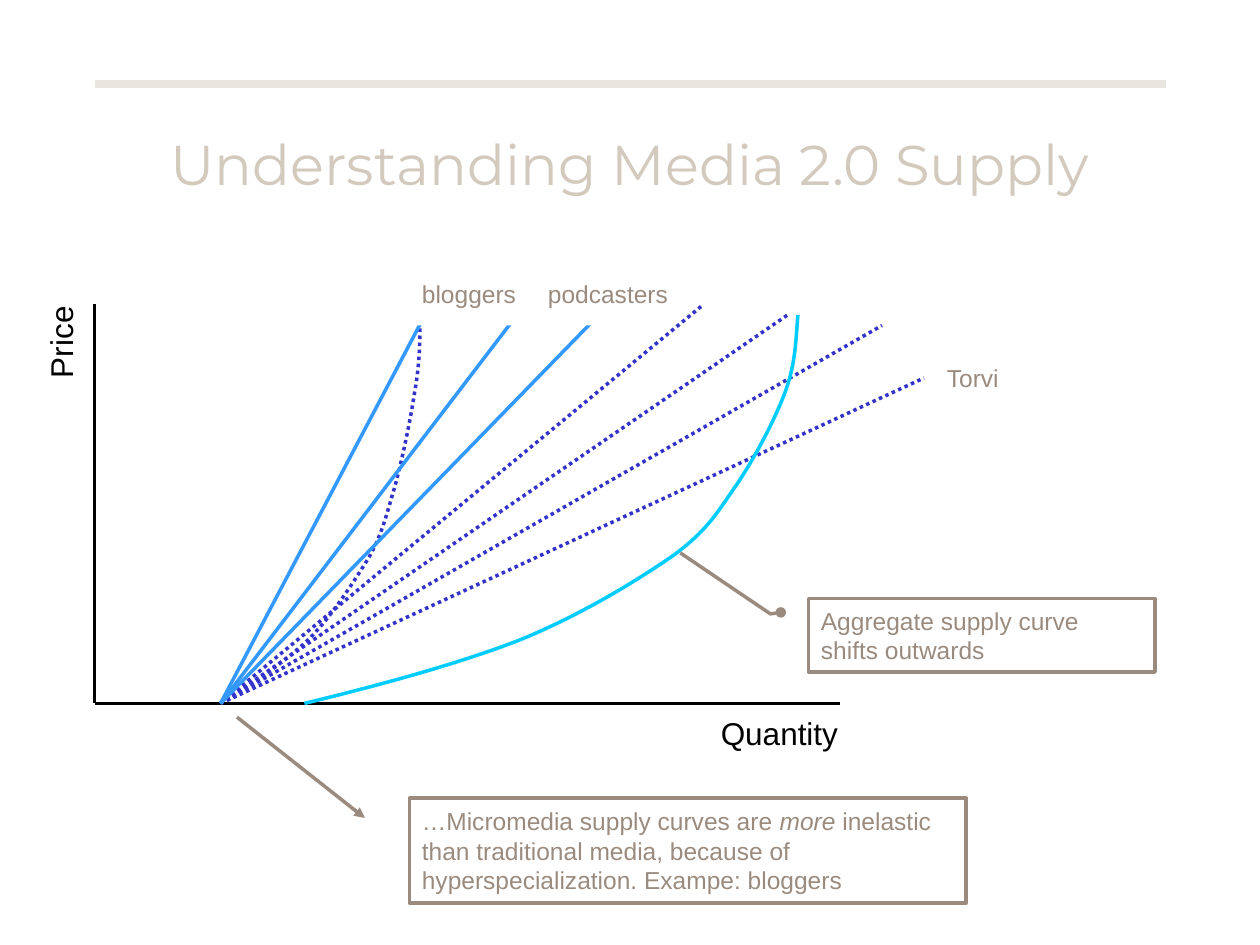
from dataclasses import dataclass

import pptx
import pptx.dml.color
import pptx.enum.dml
import pptx.enum.shapes
import pptx.enum.text
import pptx.oxml
import pptx.oxml.ns
import pptx.util

PX = 7620
Shape = pptx.enum.shapes.MSO_SHAPE
Align = pptx.enum.text.PP_ALIGN
Point = tuple[int, int]
Box = tuple[int, int, int, int]


@dataclass(frozen=True)
class Theme:
    rule: str = "E9E5DF"
    title: str = "D3C9BD"
    axis: str = "000000"
    note: str = "9A8B7E"
    future: str = "3333CC"
    micro: str = "3399FF"
    aggregate: str = "00CCFF"
    paper: str = "FFFFFF"
    title_font: str = "Montserrat"
    font: str = "Arial"
    title_size: int = 32
    axis_size: int = 18
    note_size: int = 14
    stroke: float = 2
    rule_stroke: float = 4.5


THEME = Theme()


@dataclass(frozen=True)
class Line:
    start: Point
    end: Point
    color: str
    dotted: bool = False
    width: float = THEME.stroke


@dataclass(frozen=True)
class Curve:
    points: list[Point]
    color: str
    dotted: bool = False


@dataclass(frozen=True)
class Label:
    text: str
    box: Box
    filled: bool = False


@dataclass(frozen=True)
class AxisName:
    text: str
    box: Box
    rotation: int = 0


@dataclass(frozen=True)
class Callout:
    spans: list[tuple[str, bool]]
    box: Box
    leader: list[float]
    head: str
    filled: bool = False


ORIGIN = (210, 670)
CORNER = (90, 670)

RULE = Line((90, 80), (1110, 80), THEME.rule, width=THEME.rule_stroke)
AXES = [
    Line((90, 290), CORNER, THEME.axis),
    Line(CORNER, (800, 670), THEME.axis),
]
FUTURE_SUPPLY = [
    Line(ORIGIN, end, THEME.future, True)
    for end in [(750, 300), (840, 310), (670, 290), (880, 360)]
]
MICRO_SUPPLY = [
    Line(ORIGIN, end, THEME.micro) for end in [(580, 290), (500, 290), (410, 290)]
]
HEIGHTS = [670, 652, 632, 610, 586, 554, 530, 506, 490, 464, 438, 400, 373, 346, 323, 300]
OLD_WIDTHS = [210, 240, 269, 293, 317, 337, 352, 365, 368, 376, 383, 391, 395, 400, 400, 400]
NEW_WIDTHS = [290, 364, 437, 494, 553, 605, 640, 673, 682, 700, 718, 738, 748, 758, 758, 760]
CURVES = [
    Curve(list(zip(OLD_WIDTHS, HEIGHTS)), THEME.future, True),
    Curve(list(zip(NEW_WIDTHS, HEIGHTS)), THEME.aggregate),
]
AXIS_NAMES = [
    AxisName("Quantity", (550, 670, 260, 60)),
    AxisName("Price", (-20, 330, 160, 60), 270),
]
LABELS = [
    Label("Torvi", (890, 330, 220, 60), True),
    Label("bloggers", (390, 250, 220, 60), True),
    Label("podcasters", (510, 250, 220, 60)),
]
CALLOUTS = [
    Callout(
        [
            ("…Micromedia supply curves are ", False),
            ("more", True),
            (" inelastic than traditional media, because of "
             "hyperspecialization. Exampe: bloggers", False),
        ],
        (390, 760, 530, 100),
        [0.19, -0.08, 0.15, -0.09, -0.77, -0.31],
        "triangle",
    ),
    Callout(
        [("Aggregate supply curve shifts outwards", False)],
        (770, 570, 330, 70),
        [0.19, -0.08, 0.21, -0.11, -0.62, -0.37],
        "oval",
        True,
    ),
]


def rgb(color: str) -> pptx.dml.color.RGBColor:
    return pptx.dml.color.RGBColor.from_string(color)


def scaled(lengths: tuple[int, ...]) -> list[int]:
    return [length * PX for length in lengths]


def set_stroke(shape, color: str, dotted: bool = False, width: float = THEME.stroke) -> None:
    shape.line.color.rgb = rgb(color)
    shape.line.width = pptx.util.Pt(width)
    if dotted:
        shape.line.dash_style = pptx.enum.dml.MSO_LINE.ROUND_DOT


def set_fill(shape, filled: bool) -> None:
    if filled:
        shape.fill.solid()
        shape.fill.fore_color.rgb = rgb(THEME.paper)
    else:
        shape.fill.background()


def write(shape, spans: list[tuple[str, bool]], font: str, size: int, color: str,
          align: Align = Align.LEFT, wrap: bool = True):
    frame = shape.text_frame
    frame.word_wrap = wrap
    frame.vertical_anchor = pptx.enum.text.MSO_ANCHOR.MIDDLE
    para = frame.paragraphs[0]
    para.alignment = align
    for text, italic in spans:
        span = para.add_run()
        span.text = text
        span.font.name = font
        span.font.size = pptx.util.Pt(size)
        span.font.italic = italic
        span.font.color.rgb = rgb(color)
    return para


def draw_line(page, line: Line) -> None:
    connector = page.shapes.add_connector(
        pptx.enum.shapes.MSO_CONNECTOR.STRAIGHT, *scaled(line.start + line.end))
    set_stroke(connector, line.color, line.dotted, line.width)
    connector._element.spPr.append(pptx.oxml.parse_xml(
        f'<a:effectLst {pptx.oxml.ns.nsdecls("a")}/>'))


def draw_curve(page, curve: Curve) -> None:
    builder = page.shapes.build_freeform(*curve.points[0], scale=PX)
    builder.add_line_segments(curve.points[1:], close=False)
    shape = builder.convert_to_shape()
    set_fill(shape, False)
    set_stroke(shape, curve.color, curve.dotted)
    shape.shadow.inherit = False
    segments = shape._element.xpath(".//a:lnTo")
    for first in range(0, len(segments), 3):
        bezier = pptx.oxml.parse_xml(f'<a:cubicBezTo {pptx.oxml.ns.nsdecls("a")}/>')
        segments[first].addprevious(bezier)
        for segment in segments[first:first + 3]:
            bezier.append(segment[0])
            segment.getparent().remove(segment)


def draw_axis_name(page, name: AxisName) -> None:
    box = page.shapes.add_textbox(*scaled(name.box))
    box.rotation = name.rotation
    para = write(box, [(name.text, False)], THEME.font, THEME.axis_size, THEME.axis,
                 Align.RIGHT, False)
    para.line_spacing = 0.9
    para.space_before = pptx.util.Pt(4.5)


def draw_label(page, label: Label) -> None:
    if label.filled:
        box = page.shapes.add_shape(Shape.RECTANGLE, *scaled(label.box))
        box.shadow.inherit = False
        box.line.fill.background()
        set_fill(box, True)
    else:
        box = page.shapes.add_textbox(*scaled(label.box))
    write(box, [(label.text, False)], THEME.font, THEME.note_size, THEME.note, wrap=False)


def draw_callout(page, callout: Callout) -> None:
    box = page.shapes.add_shape(Shape.LINE_CALLOUT_2, *scaled(callout.box))
    for index, value in enumerate(callout.leader):
        box.adjustments[index] = value
    box.shadow.inherit = False
    set_fill(box, callout.filled)
    set_stroke(box, THEME.note)
    box.line._get_or_add_ln().append(pptx.oxml.parse_xml(
        f'<a:headEnd {pptx.oxml.ns.nsdecls("a")} type="{callout.head}"/>'))
    write(box, callout.spans, THEME.font, THEME.note_size, THEME.note)


def main() -> None:
    deck = pptx.Presentation()
    deck.slide_width, deck.slide_height = scaled((1200, 900))
    page = deck.slides.add_slide(deck.slide_layouts[5])
    title = page.shapes.title
    title.left, title.top, title.width, title.height = scaled((90, 80, 1020, 150))
    write(title, [("Understanding Media 2.0 Supply", False)], THEME.title_font,
          THEME.title_size, THEME.title, Align.CENTER)
    for line in [RULE, *FUTURE_SUPPLY, *AXES]:
        draw_line(page, line)
    for curve in CURVES:
        draw_curve(page, curve)
    for line in MICRO_SUPPLY:
        draw_line(page, line)
    for name in AXIS_NAMES:
        draw_axis_name(page, name)
    for label in LABELS:
        draw_label(page, label)
    for callout in CALLOUTS:
        draw_callout(page, callout)
    deck.save("out.pptx")


if __name__ == "__main__":
    main()
